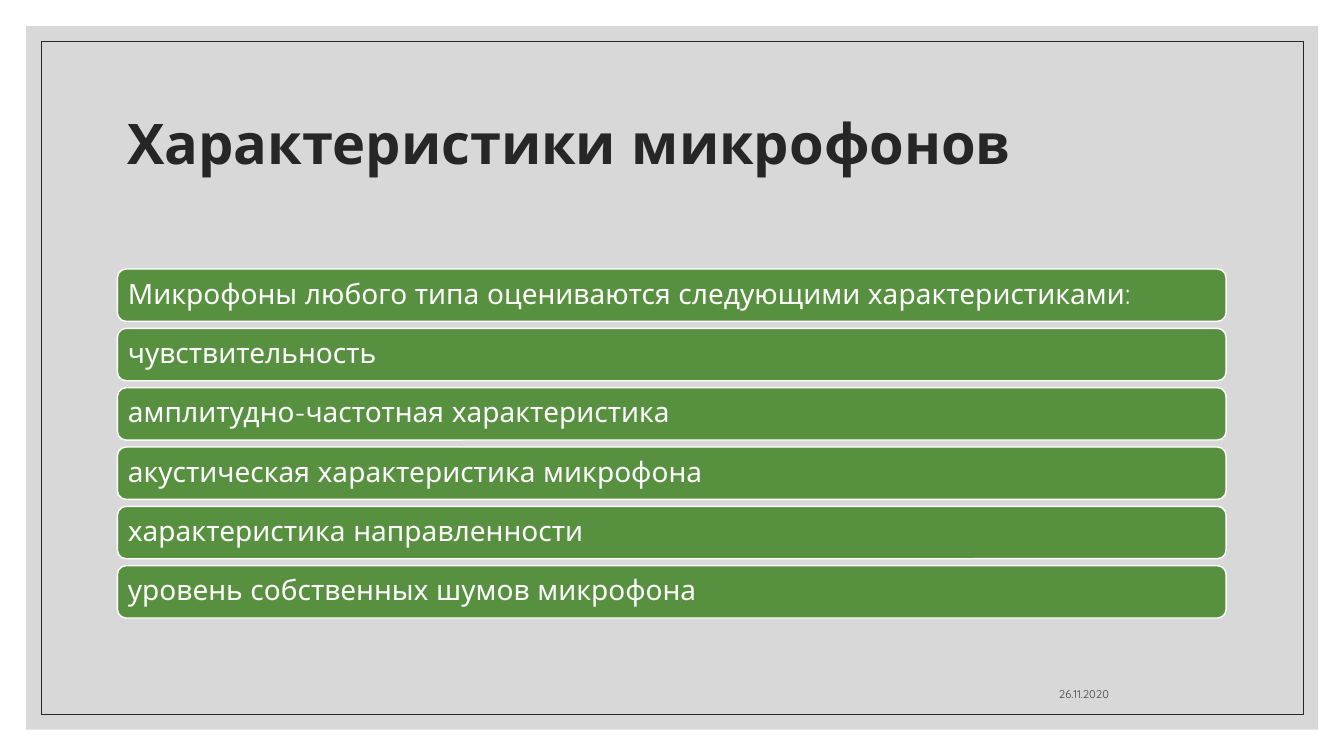
from dataclasses import dataclass

import lxml.etree
import pptx
import pptx.dml.color
import pptx.enum.shapes
import pptx.enum.text
import pptx.oxml.ns
import pptx.util

Cm = pptx.util.Cm
Pt = pptx.util.Pt
Align = pptx.enum.text.PP_ALIGN
Anchor = pptx.enum.text.MSO_ANCHOR
Preset = pptx.enum.shapes.MSO_SHAPE


@dataclass(frozen=True)
class Theme:
    font: str = "Quicksand"
    backdrop: str = "BFBFBF"
    backdrop_opacity: int = 60
    dark: str = "262626"
    date: str = "404040"
    bar: str = "57903F"
    light: str = "FFFFFF"
    title_size: int = 40
    bar_size: int = 20
    date_size: int = 8


def rgb(value):
    return pptx.dml.color.RGBColor.from_string(value)


def write_text(frame, text, *, font, size, color, bold=False, align=Align.LEFT,
               anchor=Anchor.MIDDLE, line_spacing=1.0, space_after=0, inset=None):
    frame.word_wrap = True
    frame.vertical_anchor = anchor
    if inset is not None:
        frame.margin_left = frame.margin_right = Cm(inset)
        frame.margin_top = frame.margin_bottom = Cm(inset)
    paragraph = frame.paragraphs[0]
    paragraph.alignment = align
    paragraph.line_spacing = line_spacing
    paragraph.space_after = Pt(space_after)
    run = paragraph.add_run()
    run.text = text
    run.font.name = font
    run.font.size = Pt(size)
    run.font.bold = bold
    run.font.color.rgb = rgb(color)


class SlideBuilder:
    def __init__(self, slide, theme):
        self.slide = slide
        self.theme = theme

    def panel(self, box, preset=Preset.RECTANGLE, fill=None, opacity=100,
              line=None, line_width=1):
        panel = self.slide.shapes.add_shape(preset, *map(Cm, box))
        panel.shadow.inherit = False
        if fill:
            panel.fill.solid()
            panel.fill.fore_color.rgb = rgb(fill)
            if opacity < 100:
                color = panel.fill._xPr.find(".//" + pptx.oxml.ns.qn("a:srgbClr"))
                lxml.etree.SubElement(color, pptx.oxml.ns.qn("a:alpha"),
                                      val=str(opacity * 1000))
        else:
            panel.fill.background()
        if line:
            panel.line.color.rgb = rgb(line)
            panel.line.width = Pt(line_width)
        else:
            panel.line.fill.background()
        return panel

    def label(self, box, text, **text_format):
        label = self.slide.shapes.add_textbox(*map(Cm, box))
        write_text(label.text_frame, text, font=self.theme.font, **text_format)

    def bar(self, box, text):
        bar = self.panel(box, Preset.ROUNDED_RECTANGLE, fill=self.theme.bar,
                         line=self.theme.light)
        write_text(bar.text_frame, text, font=self.theme.font,
                   size=self.theme.bar_size, color=self.theme.light,
                   line_spacing=0.9, inset=0.2)


CHARACTERISTICS = [
    "Микрофоны любого типа оцениваются следующими характеристиками:",
    "чувствительность",
    "амплитудно-частотная характеристика",
    "акустическая характеристика микрофона",
    "характеристика направленности",
    "уровень собственных шумов микрофона",
]
CONTENT_LEFT, CONTENT_WIDTH = 2.96, 27.94
BAR_TOP, BAR_HEIGHT, BAR_PITCH = 6.78, 1.32, 1.495


def main():
    presentation = pptx.Presentation()
    presentation.slide_width = Cm(33.87)
    presentation.slide_height = Cm(19.05)
    theme = Theme()
    builder = SlideBuilder(
        presentation.slides.add_slide(presentation.slide_layouts[6]), theme)

    builder.panel((0.66, 0.66, 32.56, 17.73), fill=theme.backdrop,
                  opacity=theme.backdrop_opacity)
    builder.panel((1.04, 1.04, 31.8, 16.97), line=theme.dark, line_width=0.5)
    builder.label((CONTENT_LEFT, 1.78, CONTENT_WIDTH, 3.81),
                  "Характеристики микрофонов", size=theme.title_size,
                  color=theme.dark, bold=True, line_spacing=0.9)
    builder.label((20.17, 16.76, 8.03, 1.02), "26.11.2020",
                  size=theme.date_size, color=theme.date, align=Align.RIGHT,
                  anchor=Anchor.BOTTOM, space_after=6)
    for row, characteristic in enumerate(CHARACTERISTICS):
        builder.bar((CONTENT_LEFT, BAR_TOP + row * BAR_PITCH,
                     CONTENT_WIDTH, BAR_HEIGHT), characteristic)

    presentation.save("out.pptx")


if __name__ == "__main__":
    main()
